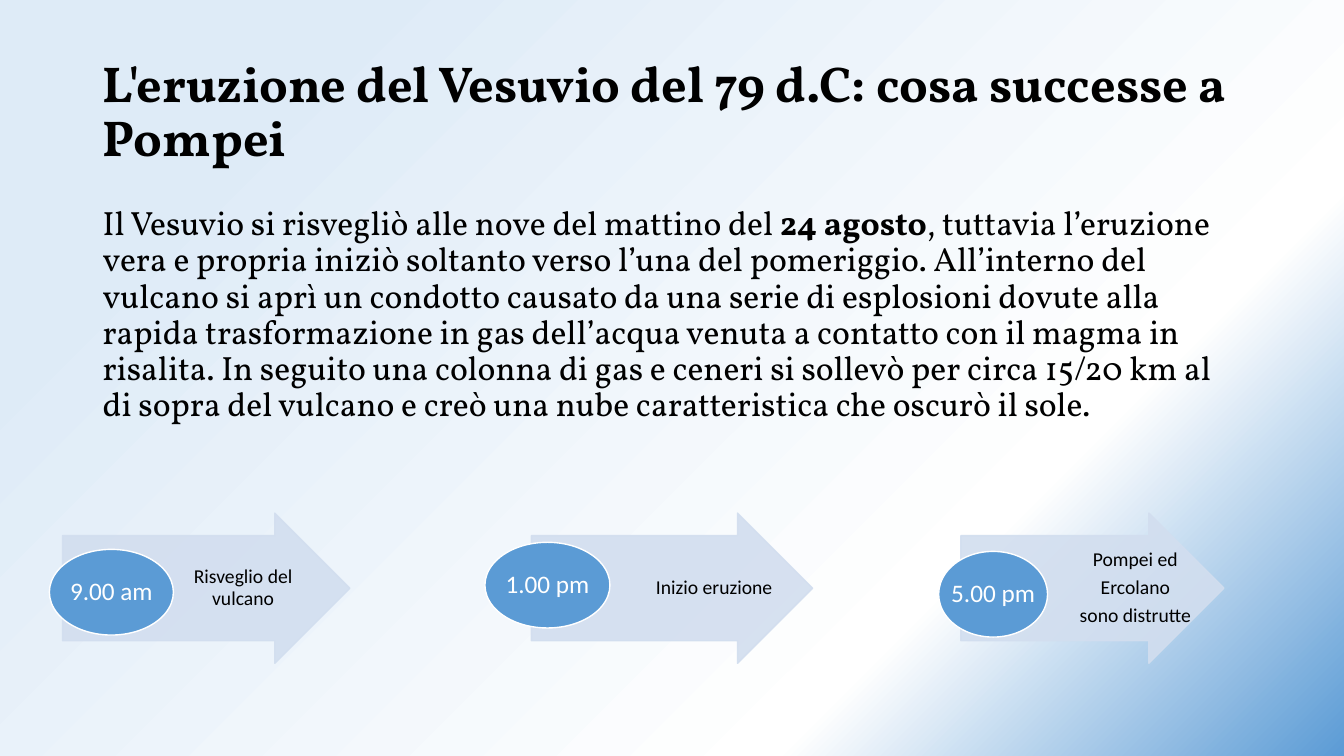
from copy import deepcopy

from lxml import etree
from pptx import Presentation
from pptx.dml.color import RGBColor
from pptx.enum.shapes import MSO_SHAPE
from pptx.enum.text import MSO_ANCHOR, PP_ALIGN
from pptx.oxml.ns import qn
from pptx.util import Inches, Pt

COLORS = {
    "ink": "000000", "white": "FFFFFF", "sky": "DEEBF7",
    "blue": "5B9BD5", "arrow": "D2DEEF",
}
RGB = {name: RGBColor.from_string(value) for name, value in COLORS.items()}


def write(frame, paragraphs, font, paragraph_format, frame_format):
    """Fill a text frame; each paragraph is a list of (text, bold) runs."""
    for name, value in frame_format.items():
        setattr(frame, name, value)
    for index, runs in enumerate(paragraphs):
        paragraph = frame.paragraphs[0] if index == 0 else frame.add_paragraph()
        for name, value in paragraph_format.items():
            setattr(paragraph, name, value)
        for position, (text, bold) in enumerate(runs):
            for line_number, line in enumerate(text.split("\n")):
                if line_number:
                    paragraph.add_line_break()
                run = paragraph.add_run()
                run.text = line
                run.font.name, run.font.size = font["name"], font["size"]
                run.font.color.rgb = font["color"]
                run.font.bold = bold


def add_block(preset, box, fill, line):
    """Add a plain preset shape."""
    block = slide.shapes.add_shape(preset, *map(Inches, box))
    block.shadow.inherit = False
    block.fill.solid()
    block.fill.fore_color.rgb = RGB[fill]
    block.line.color.rgb = RGB[line]
    block.line.width = Pt(1)
    return block


prs = Presentation()
prs.slide_width, prs.slide_height = Inches(13.33), Inches(7.5)
slide = prs.slides.add_slide(prs.slide_layouts[6])

# Background: three-stop diagonal gradient
background = slide.background.fill
background.gradient()
background.gradient_angle = 315
stop_list = next(slide.element.iter(qn("a:gsLst")))
stop_list.append(deepcopy(stop_list[-1]))
for stop, (position, color) in zip(
        background.gradient_stops, [(0.17, "sky"), (0.73, "white"), (1, "blue")]):
    stop.position = position
    stop.color.rgb = RGB[color]

# Title and account of the eruption
title = [[("L'eruzione del Vesuvio del 79 d.C: cosa successe a Pompei", True)]]
account = [[
    ("Il Vesuvio si risvegliò alle nove del mattino del ", False),
    ("24 agosto", True),
    (", tuttavia l’eruzione vera e propria iniziò soltanto verso l’una del "
     "pomeriggio. All’interno del vulcano si aprì un condotto causato da una "
     "serie di esplosioni dovute alla rapida trasformazione in gas dell’acqua "
     "venuta a contatto con il magma in risalita. In seguito una colonna di gas "
     "e ceneri si sollevò per circa 15/20 km al di sopra del vulcano e creò una "
     "nube caratteristica che oscurò il sole.", False),
]]
for top, height, paragraphs, size, space_before, anchor in [
        (0.4, 1.45, title, 36, 0, MSO_ANCHOR.MIDDLE),
        (2, 2.35, account, 24, 10, MSO_ANCHOR.TOP)]:
    passage = slide.shapes.add_textbox(
        Inches(0.92), Inches(top), Inches(11.5), Inches(height))
    write(passage.text_frame, paragraphs,
          {"name": "Vollkorn", "size": Pt(size), "color": RGB["ink"]},
          {"line_spacing": 0.9, "space_before": Pt(space_before)},
          {"word_wrap": True, "vertical_anchor": anchor})

# Timeline: arrow, event and time for each stage
ARROW_TOP, ARROW_HEIGHT, TIME_HEIGHT = 5.09, 1.49, 0.85
CENTERED = {"alignment": PP_ALIGN.CENTER, "line_spacing": 0.9}
# arrow left, arrow width, event inset, events, time left, top, width, time
stages = [
    (0.62, 2.85, 0.04, ["Risveglio del\nvulcano"], 0.49, 5.45, 1.23, "9.00 am"),
    (5.27, 2.79, 0.16, ["Inizio eruzione"], 4.81, 5.38, 1.24, "1.00 pm"),
    (9.53, 2.61, 0.22, ["Pompei ed", "Ercolano", "sono distrutte"],
     9.31, 5.47, 1.08, "5.00 pm"),
]
for left, width, inset, events, time_left, time_top, time_width, time in stages:
    arrow = add_block(MSO_SHAPE.RIGHT_ARROW,
                      (left, ARROW_TOP, width, ARROW_HEIGHT), "arrow", "arrow")
    arrow.adjustments[0], arrow.adjustments[1] = 0.7, 0.5
    for color in arrow.element.spPr.iter(qn("a:srgbClr")):
        etree.SubElement(color, qn("a:alpha"), val="90000")

    event = slide.shapes.add_textbox(
        Inches(left + width / 4), Inches(ARROW_TOP),
        Inches(width * 3 / 4), Inches(ARROW_HEIGHT))
    write(event.text_frame, [[(text, False)] for text in events],
          {"name": "Calibri", "size": Pt(14), "color": RGB["ink"]},
          {**CENTERED, "space_after": Pt(4.9)},
          {"word_wrap": True, "vertical_anchor": MSO_ANCHOR.MIDDLE,
           "margin_left": Inches(inset), "margin_right": Inches(0.02),
           "margin_top": Inches(0.01), "margin_bottom": Inches(0.01)})

    oval = add_block(MSO_SHAPE.OVAL,
                     (time_left, time_top, time_width, TIME_HEIGHT), "blue", "white")
    write(oval.text_frame, [[(time, False)]],
          {"name": "Calibri", "size": Pt(18), "color": RGB["white"]}, CENTERED,
          {"word_wrap": False, "vertical_anchor": MSO_ANCHOR.MIDDLE,
           **{f"margin_{side}": Inches(0.01)
              for side in ("left", "right", "top", "bottom")}})

prs.save("out.pptx")
